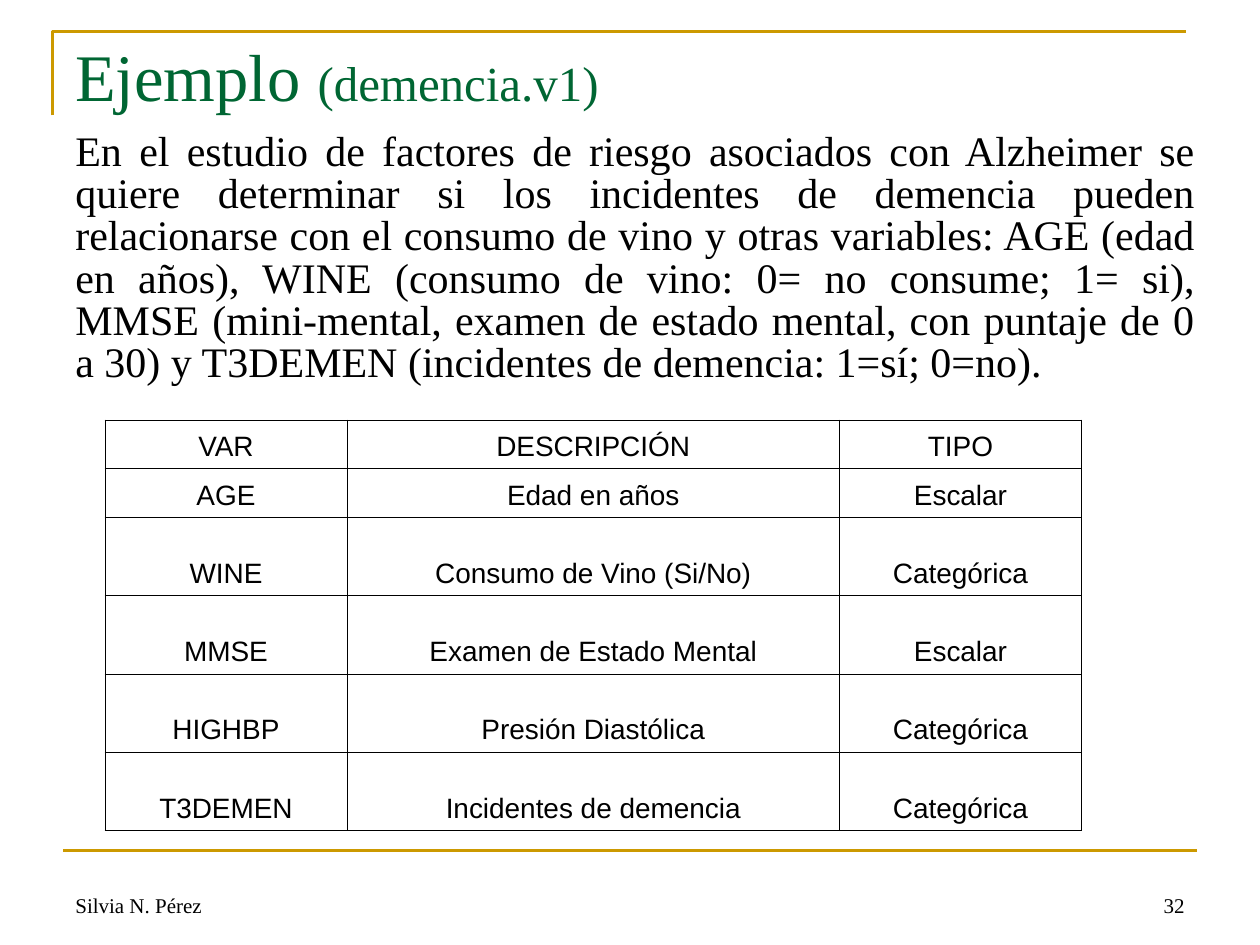
from lxml.etree import SubElement
from pptx import Presentation
from pptx.dml.color import RGBColor
from pptx.enum.shapes import MSO_CONNECTOR
from pptx.enum.text import MSO_ANCHOR, PP_ALIGN
from pptx.oxml.ns import qn
from pptx.util import Pt

GOLD = RGBColor(0xCC, 0x99, 0x00)
GREEN = RGBColor(0x00, 0x66, 0x33)
BLACK = RGBColor(0x00, 0x00, 0x00)
SERIF, SANS = "Times New Roman", "Arial"

# Content
TITLE = [("Ejemplo ", 38), ("(demencia.v1)", 28)]
BODY = (
    "En el estudio de factores de riesgo asociados con Alzheimer se quiere "
    "determinar si los incidentes de demencia pueden relacionarse con el consumo "
    "de vino y otras variables: AGE (edad en años), WINE (consumo de vino: 0= no "
    "consume; 1= si), MMSE (mini-mental, examen de estado mental, con puntaje de "
    "0 a 30) y T3DEMEN (incidentes de demencia: 1=sí; 0=no)."
)
VARIABLES = [
    ("VAR", "DESCRIPCIÓN", "TIPO"),
    ("AGE", "Edad en años", "Escalar"),
    ("WINE", "Consumo de Vino (Si/No)", "Categórica"),
    ("MMSE", "Examen de Estado Mental", "Escalar"),
    ("HIGHBP", "Presión Diastólica", "Categórica"),
    ("T3DEMEN", "Incidentes de demencia", "Categórica"),
]
COL_WIDTHS = [138.25, 281.5, 138.25]
ROW_HEIGHTS = [27.9] * 2 + [44.7] * 4
FOOTERS = [("Silvia N. Pérez", 36, PP_ALIGN.LEFT), ("32", 516, PP_ALIGN.RIGHT)]


def add_text(s, box, runs, color, align=PP_ALIGN.LEFT, anchor=MSO_ANCHOR.TOP):
    """Add a one-paragraph serif text box; runs are (text, size) pairs."""
    tf = s.shapes.add_textbox(*map(Pt, box)).text_frame
    tf.word_wrap = True
    tf.vertical_anchor = anchor
    p = tf.paragraphs[0]
    p.alignment = align
    p.font.name = SERIF
    p.font.color.rgb = color
    for text, size in runs:
        r = p.add_run()
        r.text = text
        r.font.size = Pt(size)
    return tf


def set_borders(cell, width):
    tc_pr = cell._tc.get_or_add_tcPr()
    for side in ("lnL", "lnR", "lnT", "lnB"):
        ln = SubElement(tc_pr, qn(f"a:{side}"), w=str(Pt(width)))
        fill = SubElement(ln, qn("a:solidFill"))
        SubElement(fill, qn("a:srgbClr"), val=str(BLACK))


prs = Presentation()
prs.slide_width, prs.slide_height = Pt(720), Pt(540)
s = prs.slides.add_slide(prs.slide_layouts[6])

# Corner frame above the title
builder = s.shapes.build_freeform(Pt(30), Pt(66), scale=1.0)
builder.add_line_segments([(Pt(30), Pt(18)), (Pt(678), Pt(18))], close=False)
frame = builder.convert_to_shape()
frame.shadow.inherit = False
frame.fill.background()

# Rule above the footer
rule = s.shapes.add_connector(MSO_CONNECTOR.STRAIGHT, Pt(36), Pt(486), Pt(684), Pt(486))
SubElement(rule._element.spPr, qn("a:effectLst"))
for sp in (frame, rule):
    sp.line.color.rgb = GOLD
    sp.line.width = Pt(1.5)
# Effects must follow the line properties
rule._element.spPr.append(rule._element.spPr.find(qn("a:effectLst")))

# Footer
for text, left, align in FOOTERS:
    add_text(s, (left, 492, 168, 36), [(text, 12)], BLACK, align, MSO_ANCHOR.BOTTOM)

# Title and body
title = add_text(s, (36, 12, 648, 90), TITLE, GREEN)
title.margin_top = Pt(8)
body = add_text(s, (36, 72, 654, 356), [(BODY, 24)], BLACK, PP_ALIGN.JUSTIFY)
body.paragraphs[0].line_spacing = 0.84

# Table of variables
table = s.shapes.add_table(
    len(VARIABLES), len(COL_WIDTHS), Pt(60), Pt(240),
    Pt(sum(COL_WIDTHS)), Pt(sum(ROW_HEIGHTS)),
).table
table.first_row = table.horz_banding = False
for column, width in zip(table.columns, COL_WIDTHS):
    column.width = Pt(width)
for row, height, texts in zip(table.rows, ROW_HEIGHTS, VARIABLES):
    row.height = Pt(height)
    for cell, text in zip(row.cells, texts):
        cell.text = text
        cell.vertical_anchor = MSO_ANCHOR.BOTTOM
        set_borders(cell, 0.45)
        cell.fill.background()
        p = cell.text_frame.paragraphs[0]
        p.alignment = PP_ALIGN.CENTER
        p.font.name = SANS
        p.font.size = Pt(16)
        p.font.color.rgb = BLACK

prs.save("out.pptx")
